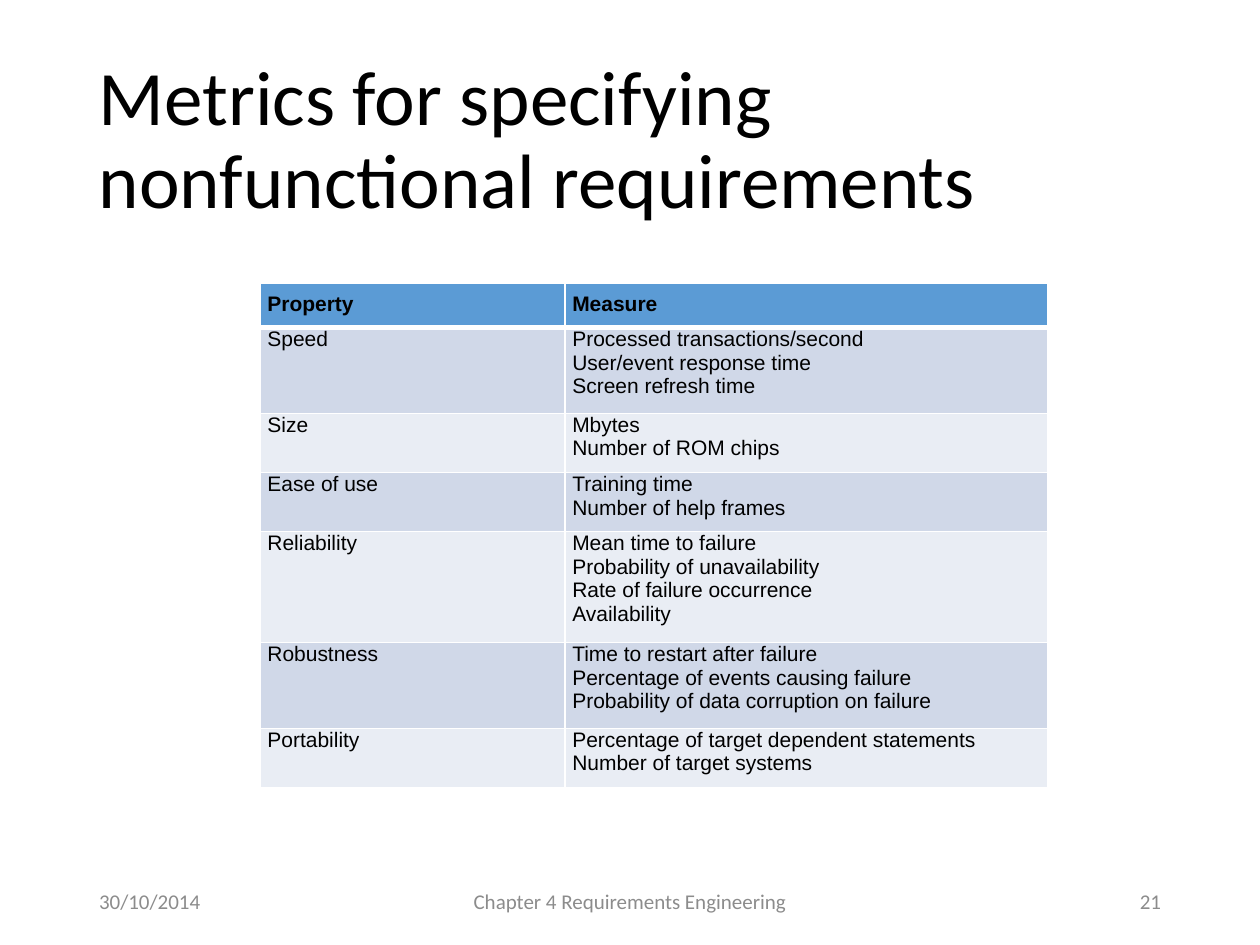
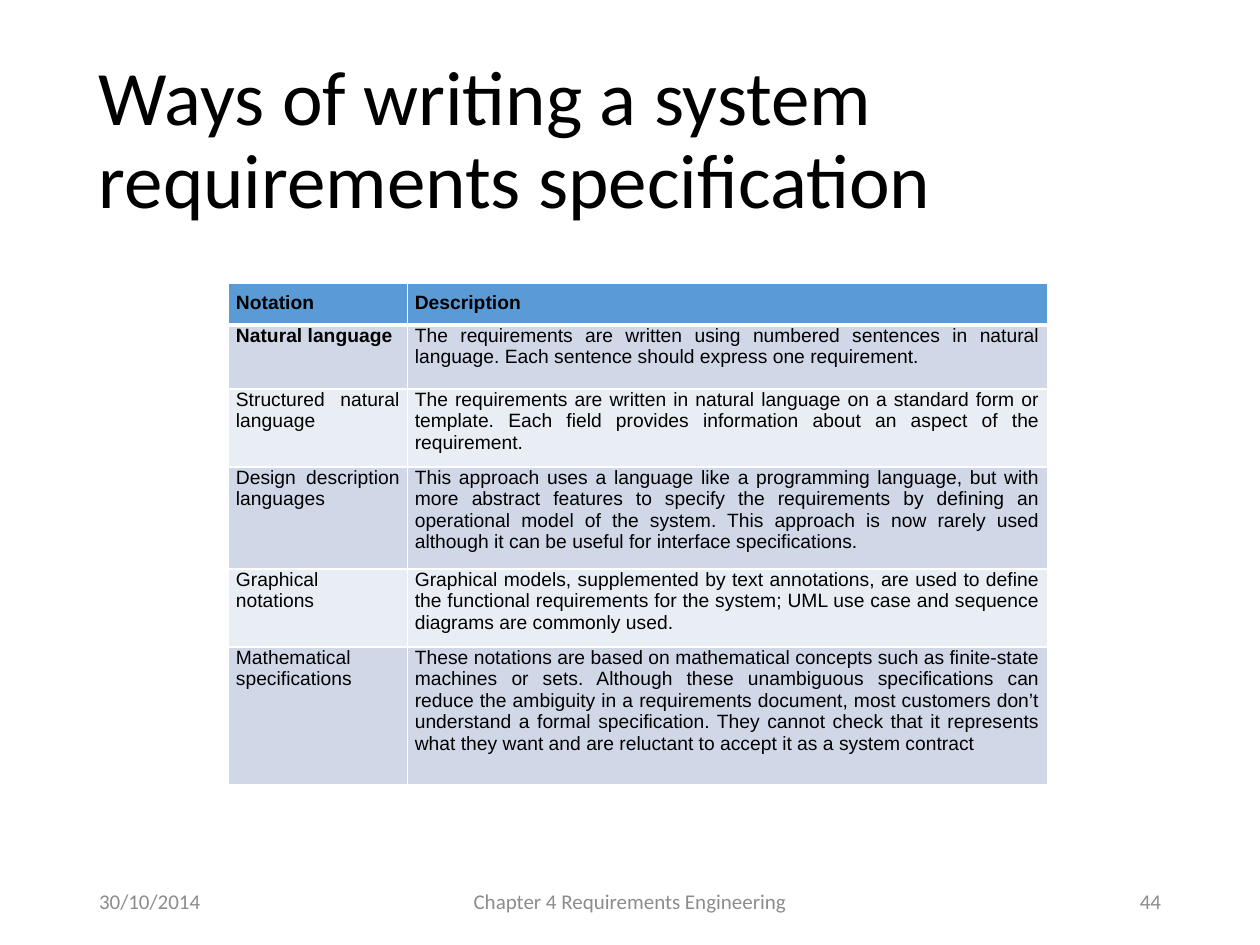
from lxml.etree import SubElement
from pptx import Presentation
from pptx.dml.color import RGBColor
from pptx.enum.text import MSO_ANCHOR as ANCHOR, PP_ALIGN as ALIGN
from pptx.oxml.ns import qn
from pptx.util import Inches, Pt

COLORS = {"text": "000000", "footer": "8C8C8C", "header": "5B9BD5",
          "odd": "D0D8E8", "even": "E9EDF4", "border": "FFFFFF"}
WIDTH, HEIGHT = Inches(10), Inches(7.5)
COLS, ROWS = 160, 120  # slide grid

# Boxes are left, top, width, height in grid columns and rows.
TITLE_BOX = (11, 6.4, 138, 23.2)
FOOTER_BOX = (11, 111.2, 138, 6.4)
DATE, CHAPTER = "30/10/2014", "Chapter 4 Requirements Engineering"

METRICS = [
    ("Property", "Measure"),
    ("Speed", "Processed transactions/second\nUser/event response time\nScreen refresh time"),
    ("Size", "Mbytes\nNumber of ROM chips"),
    ("Ease of use", "Training time\nNumber of help frames"),
    ("Reliability", "Mean time to failure\nProbability of unavailability\n"
                    "Rate of failure occurrence\nAvailability"),
    ("Robustness", "Time to restart after failure\nPercentage of events causing failure\n"
                   "Probability of data corruption on failure"),
    ("Portability", "Percentage of target dependent statements\nNumber of target systems"),
]
NOTATIONS = [
    ("Notation", "Description"),
    ("Natural language",
     "The requirements are written using numbered sentences in natural language. "
     "Each sentence should express one requirement."),
    ("Structured natural language",
     "The requirements are written in natural language on a standard form or template. "
     "Each field provides information about an aspect of the requirement."),
    ("Design description languages",
     "This approach uses a language like a programming language, but with more abstract "
     "features to specify the requirements by defining an operational model of the system. "
     "This approach is now rarely used although it can be useful for interface specifications."),
    ("Graphical notations",
     "Graphical models, supplemented by text annotations, are used to define the functional "
     "requirements for the system; UML use case and sequence diagrams are commonly used."),
    ("Mathematical specifications",
     "These notations are based on mathematical concepts such as finite-state machines or "
     "sets. Although these unambiguous specifications can reduce the ambiguity in a "
     "requirements document, most customers don’t understand a formal specification. They "
     "cannot check that it represents what they want and are reluctant to accept it as a "
     "system contract"),
]


def grid(x, y, w, h):
    """Turn grid columns and rows into slide lengths."""
    return (int(WIDTH * x / COLS), int(HEIGHT * y / ROWS),
            int(WIDTH * w / COLS), int(HEIGHT * h / ROWS))


def write(tf, text, size=12, font="Calibri", color="text", bold=False,
          align=ALIGN.LEFT, spacing=None):
    """Write one paragraph for each line of text."""
    tf.word_wrap = True
    for i, line in enumerate(text.split("\n")):
        p = tf.add_paragraph() if i else tf.paragraphs[0]
        p.alignment = align
        p.line_spacing = spacing
        r = p.add_run()
        r.text = line
        r.font.size, r.font.name, r.font.bold = Pt(size), font, bold
        r.font.color.rgb = RGBColor.from_string(COLORS[color])


def add_text(s, box, text, **fmt):
    tf = s.shapes.add_textbox(*grid(*box)).text_frame
    tf.vertical_anchor = ANCHOR.MIDDLE
    write(tf, text, **fmt)


def add_footer(s, box, number):
    x, y, w, h = box
    side, middle = 36, 54
    parts = [(x, side, DATE, ALIGN.LEFT),
             (x + (w - middle) / 2, middle, CHAPTER, ALIGN.CENTER),
             (x + w - side, side, str(number), ALIGN.RIGHT)]
    for left, width, text, align in parts:
        add_text(s, (left, y, width, h), text, color="footer", align=align)


def set_borders(cell, **widths):
    tcPr = cell._tc.get_or_add_tcPr()
    for side in "LRTB":
        ln = SubElement(tcPr, qn(f"a:ln{side}"), w=str(Pt(widths.get(side, 1))))
        fill = SubElement(ln, qn("a:solidFill"))
        SubElement(fill, qn("a:srgbClr"), val=COLORS["border"])


def add_banded_table(s, box, rows, col_sizes, row_sizes, size, bold_cells, left_cells):
    """Fill the box with a table; column and row sizes are relative weights."""
    left, top, width, height = grid(*box)
    table = s.shapes.add_table(len(rows), len(col_sizes), left, top, width, height).table
    for col, share in zip(table.columns, col_sizes):
        col.width = int(width * share / sum(col_sizes))
    for row, share in zip(table.rows, row_sizes):
        row.height = int(height * share / sum(row_sizes))
    for i, texts in enumerate(rows):
        band = "header" if i == 0 else "odd" if i % 2 else "even"
        thick = {0: {"B": 3}, 1: {"T": 3}}.get(i, {})
        for j, text in enumerate(texts):
            cell = table.cell(i, j)
            set_borders(cell, **thick)
            cell.fill.solid()
            cell.fill.fore_color.rgb = RGBColor.from_string(COLORS[band])
            cell.margin_left = cell.margin_right = Inches(0.06)
            cell.margin_top = Inches(0 if i else 0.07)
            cell.margin_bottom = Inches(0.07)
            write(cell.text_frame, text, size=size, font="Arial",
                  bold=i == 0 or (i, j) in bold_cells,
                  align=ALIGN.LEFT if (i, j) in left_cells else ALIGN.JUSTIFY)


def add_table_slide(prs, title, number, box, rows, col_sizes, row_sizes, size,
                    bold_cells=(), left_cells=()):
    s = prs.slides.add_slide(prs.slide_layouts[6])
    add_text(s, TITLE_BOX, title, size=44, spacing=0.9)
    add_footer(s, FOOTER_BOX, number)
    add_banded_table(s, box, rows, col_sizes, row_sizes, size, bold_cells, left_cells)


def main():
    prs = Presentation()
    prs.slide_width, prs.slide_height = WIDTH, HEIGHT
    add_table_slide(prs, "Metrics for specifying nonfunctional requirements", 21,
                    (33, 36, 100, 64), METRICS, (2.42, 3.83),
                    (0.35, 0.68, 0.47, 0.47, 0.88, 0.68, 0.47), 12,
                    left_cells={(4, 0)})
    add_table_slide(prs, "Ways of writing a system requirements specification", 44,
                    (29, 36, 104, 63), NOTATIONS, (1.42, 5.08),
                    (0.33, 0.51, 0.6, 0.81, 0.6, 1.1), 11,
                    bold_cells={(1, 0)}, left_cells={(0, 0)})
    prs.save("out.pptx")


if __name__ == "__main__":
    main()
